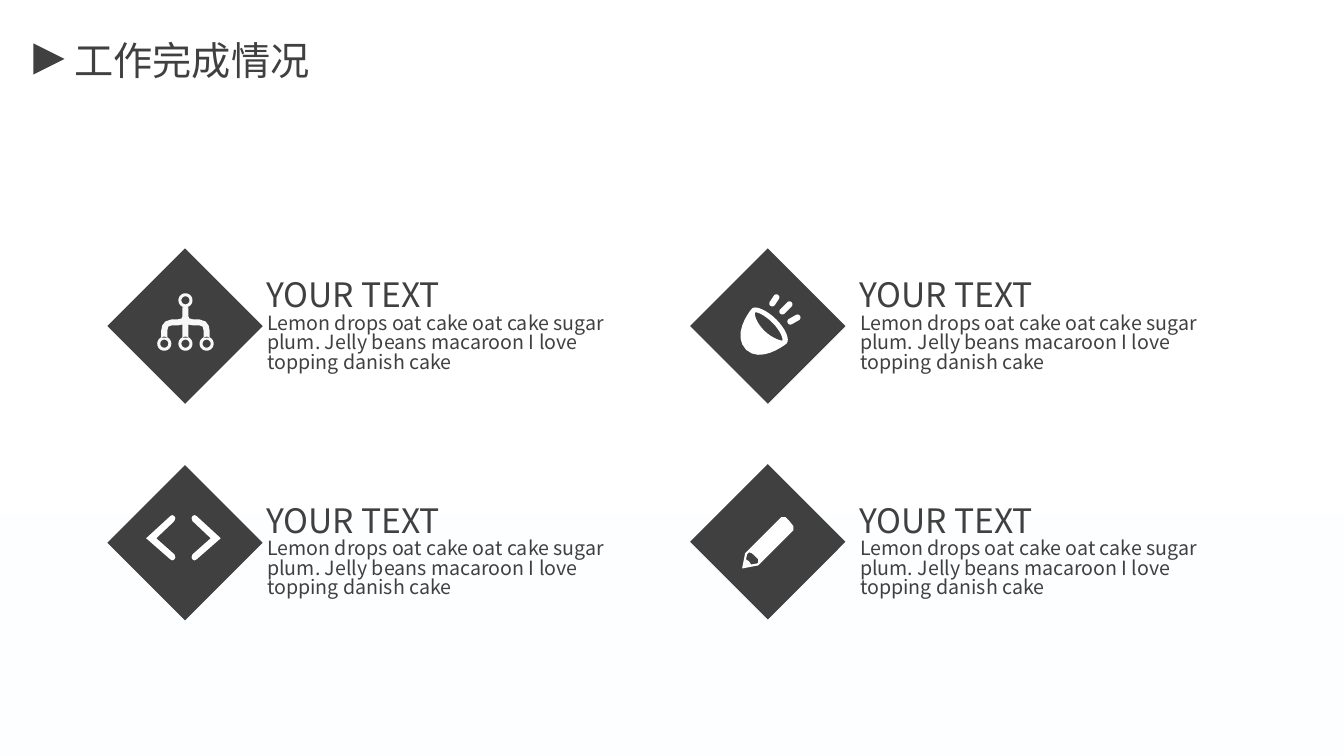
"""Build the work completion slide: a title and four diamond icons with text."""
import copy
import math

import pptx
import pptx.dml.color
import pptx.enum.shapes
import pptx.enum.text
import pptx.oxml.ns
import pptx.util
from lxml import etree

PX = 9144
DARK = "404040"
FONT = "Noto Sans CJK SC"
SHAPE = pptx.enum.shapes.MSO_SHAPE


def color(value):
    return pptx.dml.color.RGBColor.from_string(value)


def capsule(x0, y0, x1, y1, radius):
    axis = math.atan2(y1 - y0, x1 - x0)
    outline = []
    for x, y, first in ((x0, y0, 90), (x1, y1, 270)):
        for step in range(0, 181, 15):
            angle = axis + math.radians(first + step)
            outline.append((x + radius * math.cos(angle), y + radius * math.sin(angle)))
    return outline


presentation = pptx.Presentation()
presentation.slide_width = 1333 * PX
presentation.slide_height = 750 * PX
slide = presentation.slides.add_slide(presentation.slide_layouts[6])

backdrop = slide.background.fill
backdrop.gradient()
backdrop.gradient_angle = 270
stop_list = next(slide.element.iter(pptx.oxml.ns.qn("a:gsLst")))
for spare in list(stop_list):
    stop_list.append(copy.deepcopy(spare))
shades = [(0.15, "FFFFFF"), (0.41, "FFFFFF"), (0.68, "FDFEFF"), (1, "FCFDFF")]
for stop, (position, shade) in zip(backdrop.gradient_stops, shades):
    stop.position = position
    stop.color.rgb = color(shade)

branch = [(187, 305), (187, 314), (188, 316), (192, 317), (198, 317), (204, 319),
          (207, 323), (208, 328), (208, 335), (202, 335), (202, 328), (201, 324),
          (198, 323), (192, 323), (187, 322), (187, 335)]
hierarchy = [branch + [(368 - x, y) for x, y in reversed(branch)]]
for x, y in ((184, 298), (163, 341), (184, 341), (205, 341)):
    hierarchy += [capsule(x, y, x, y, radius) for radius in (7, 4)]

cup_curves = [
    [(746, 306), (742, 310), (726, 333), (740, 347), (754, 360), (776, 344), (780, 341),
     (784, 337), (779, 326), (770, 317), (760, 307), (749, 303), (746, 306)],
    [(776, 338), (775, 338), (766, 336), (758, 328), (750, 320), (748, 312), (749, 310),
     (750, 309), (758, 312), (766, 320), (774, 328), (777, 336), (776, 338)],
]
coffee = [capsule(766, 301, 770, 295, 3), capsule(776, 309, 783, 302, 3),
          capsule(784, 319, 791, 315, 3)]
for curve in cup_curves:
    outline = []
    for start in range(0, len(curve) - 1, 3):
        for t in (0, 0.125, 0.25, 0.375, 0.5, 0.625, 0.75, 0.875):
            weights = ((1 - t) ** 3, 3 * t * (1 - t) ** 2, 3 * t * t * (1 - t), t ** 3)
            controls = curve[start:start + 4]
            outline.append(tuple(sum(w * point[axis] for w, point in zip(weights, controls))
                                 for axis in (0, 1)))
    coffee.append(outline)

bracket = [(173, 512), (171, 511), (169, 512), (145, 534), (169, 555), (171, 556),
           (173, 555), (174, 553), (173, 550), (155, 534), (173, 517), (174, 514)]
code = [bracket, [(364 - x, y) for x, y in bracket]]

pencil = [
    [(775, 513), (779, 513), (783, 517), (787, 522), (787, 526), (752, 561), (736, 564),
     (739, 549)],
    [(751, 559), (745, 560), (743, 557), (740, 555), (741, 550), (743, 548), (746, 549),
     (749, 552), (752, 555), (752, 558)],
]

marker = slide.shapes.add_shape(SHAPE.ISOSCELES_TRIANGLE, 33 * PX, 43 * PX, 31 * PX, 31 * PX)
marker.rotation = 90
filled = [(marker, DARK)]
captions = [("工作完成情况", 64, 31, 382, 57, 28, (10, 5, 10, 5), 1)]

topics = [
    (129, 269, hierarchy, "F8F8F9", 248, 267),
    (707, 269, coffee, "FFFFFF", 836, 267),
    (129, 484, code, "FFFFFF", 248, 491),
    (707, 483, pencil, "FFFFFF", 836, 491),
]
for left, top, outlines, tint, text_left, text_top in topics:
    diamond = slide.shapes.add_shape(SHAPE.RECTANGLE, left * PX, top * PX, 109 * PX, 109 * PX)
    diamond.rotation = 45
    builder = None
    for outline in outlines:
        if builder is None:
            builder = slide.shapes.build_freeform(outline[0][0] * PX, outline[0][1] * PX)
        else:
            builder.move_to(outline[0][0] * PX, outline[0][1] * PX)
        builder.add_line_segments([(x * PX, y * PX) for x, y in outline[1:]], close=True)
    filled += [(diamond, DARK), (builder.convert_to_shape(), tint)]
    captions += [
        ("YOUR TEXT", text_left, text_top, 222, 50, 24, (16, 5, 10, 5), 1),
        ("Lemon drops oat cake oat cake sugar plum. Jelly beans macaroon I love "
         "topping danish cake", text_left + 17, text_top + 45, 352, 77, 14, (0, 0, 0, 0), 0.83),
    ]

for part, tint in filled:
    part.shadow.inherit = False
    part.fill.solid()
    part.fill.fore_color.rgb = color(tint)
    part.line.fill.background()

for words, left, top, width, height, size, insets, spacing in captions:
    caption = slide.shapes.add_textbox(left * PX, top * PX, width * PX, height * PX)
    frame = caption.text_frame
    frame.word_wrap = True
    frame.auto_size = pptx.enum.text.MSO_AUTO_SIZE.NONE
    (frame.margin_left, frame.margin_top,
     frame.margin_right, frame.margin_bottom) = [inset * PX for inset in insets]
    frame.text = words
    paragraph = frame.paragraphs[0]
    paragraph.line_spacing = spacing
    run = paragraph.runs[0]
    run.font.size = pptx.util.Pt(size)
    run.font.name = FONT
    run.font.color.rgb = color(DARK)
    east_asian = etree.SubElement(run.font._element, pptx.oxml.ns.qn("a:ea"))
    east_asian.set("typeface", FONT)

presentation.save("out.pptx")
